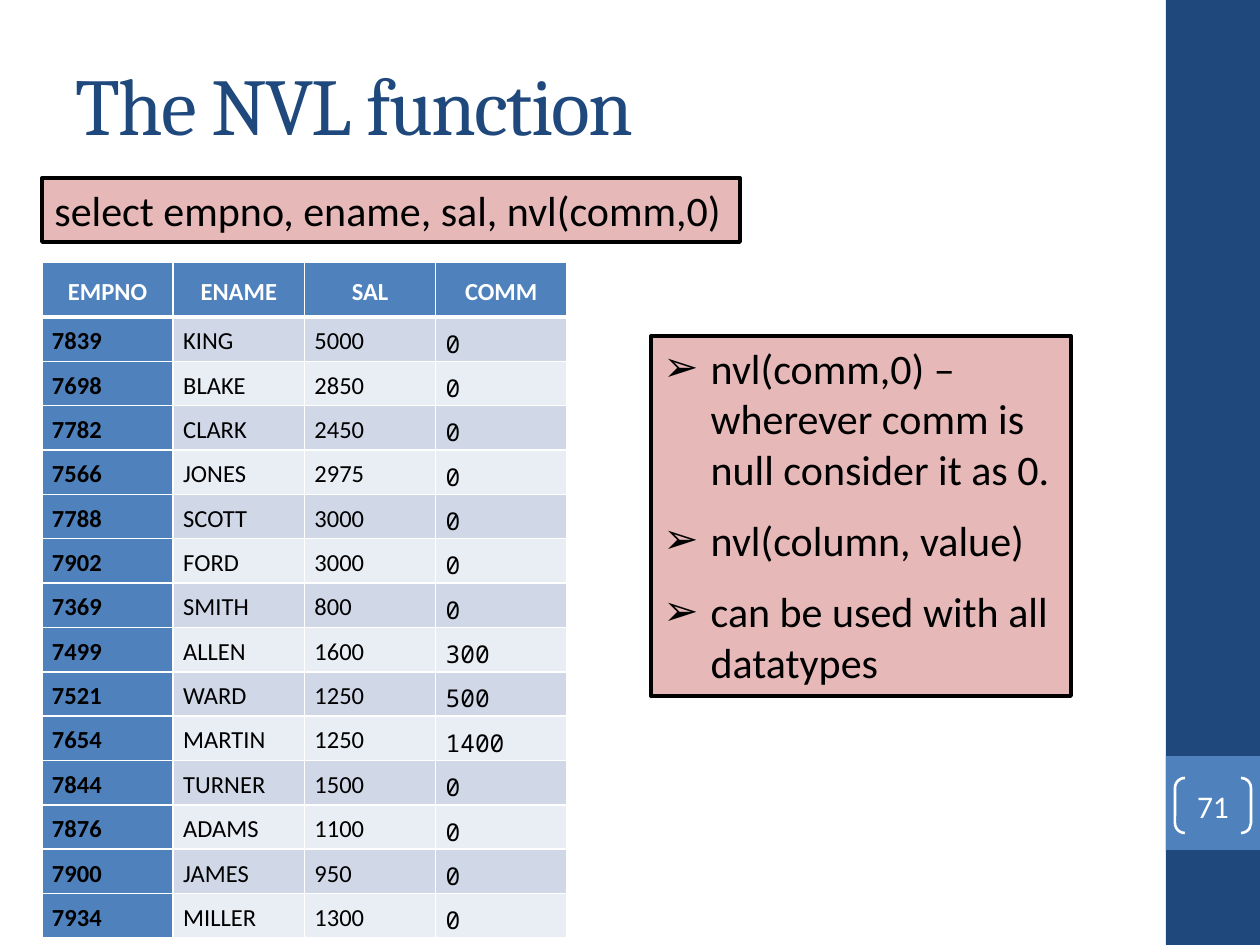
"""Build the NVL function slide: query, result table and usage notes."""
from lxml import etree
from pptx import Presentation
from pptx import util as u
from pptx.dml.color import RGBColor
from pptx.enum import shapes, text
from pptx.oxml.ns import qn

PX = 914400 / 126
NAVY, BLUE, PINK, WHITE, BLACK = "1F497D", "4F81BD", "E6B9B8", "FFFFFF", "000000"
BANDS = ["D0D8E8", "E9EDF4"]
HEADERS = ["EMPNO", "ENAME", "SAL", "COMM"]
EMPLOYEES = [
    ("7839", "KING", "5000", "0"),
    ("7698", "BLAKE", "2850", "0"),
    ("7782", "CLARK", "2450", "0"),
    ("7566", "JONES", "2975", "0"),
    ("7788", "SCOTT", "3000", "0"),
    ("7902", "FORD", "3000", "0"),
    ("7369", "SMITH", "800", "0"),
    ("7499", "ALLEN", "1600", "300"),
    ("7521", "WARD", "1250", "500"),
    ("7654", "MARTIN", "1250", "1400"),
    ("7844", "TURNER", "1500", "0"),
    ("7876", "ADAMS", "1100", "0"),
    ("7900", "JAMES", "950", "0"),
    ("7934", "MILLER", "1300", "0"),
]
NOTES = [
    "nvl(comm,0) – wherever comm is null consider it as 0.",
    "nvl(column, value)",
    "can be used with all datatypes",
]


def color(value):
    return RGBColor.from_string(value)


def style(p, size, ink, font="Calibri", bold=False):
    for r in p.runs:
        r.font.name, r.font.size, r.font.bold = font, u.Pt(size), bold
        r.font.color.rgb = color(ink)


prs = Presentation()
prs.slide_width, prs.slide_height = u.Inches(10), u.Inches(7.5)
s = prs.slides.add_slide(prs.slide_layouts[5])

title = s.shapes.title
title.left, title.top, title.width, title.height = [int(v * PX) for v in (63, 38, 1050, 130)]
tf = title.text_frame
tf.text = "The NVL function"
tf.vertical_anchor = text.MSO_ANCHOR.MIDDLE
p = tf.paragraphs[0]
p.alignment = text.PP_ALIGN.LEFT
style(p, 46, NAVY, "Cambria")
p.runs[0].font._element.set("spc", "-100")

RECT, BRACKETS = shapes.MSO_SHAPE.RECTANGLE, shapes.MSO_SHAPE.DOUBLE_BRACKET
boxes = []
for kind, box, fill, line, weight in [
    (RECT, (1166, 0, 94, 945), NAVY, None, 0),
    (RECT, (1166, 756, 94, 94), BLUE, None, 0),
    (BRACKETS, (1175, 778, 76, 55), None, WHITE, 1.5),
    (RECT, (42, 178, 698, 64), PINK, BLACK, 2.25),
    (RECT, (651, 336, 420, 360), PINK, BLACK, 2.25),
]:
    sp = s.shapes.add_shape(kind, *[int(v * PX) for v in box])
    sp.shadow.inherit = False
    if fill:
        sp.fill.solid()
        sp.fill.fore_color.rgb = color(fill)
    else:
        sp.fill.background()
    if line:
        sp.line.color.rgb = color(line)
        sp.line.width = u.Pt(weight)
    else:
        sp.line.fill.background()
    boxes.append(sp)
number, query, notes = boxes[2:]

number.adjustments[0] = 0.18
tf = number.text_frame
tf.margin_left = tf.margin_top = tf.margin_right = tf.margin_bottom = 0
tf.text = "71"
tf.paragraphs[0].alignment = text.PP_ALIGN.CENTER
style(tf.paragraphs[0], 18, WHITE)

tf = query.text_frame
tf.word_wrap = False
tf.vertical_anchor = text.MSO_ANCHOR.TOP
tf.text = "select empno, ename, sal, nvl(comm,0)"
tf.paragraphs[0].alignment = text.PP_ALIGN.LEFT
style(tf.paragraphs[0], 24, BLACK)

tf = notes.text_frame
tf.word_wrap = True
tf.vertical_anchor = text.MSO_ANCHOR.TOP
tf.text = "\n".join(NOTES)
for p in tf.paragraphs:
    p.alignment = text.PP_ALIGN.LEFT
    p.space_before = p.space_after = u.Pt(6)
    style(p, 24, BLACK)
    pPr = p._p.get_or_add_pPr()
    pPr.set("marL", "342900")
    pPr.set("indent", "-342900")
    etree.SubElement(pPr, qn("a:buFont"), typeface="Calibri")
    etree.SubElement(pPr, qn("a:buChar"), char="➢")

rows = [HEADERS, *EMPLOYEES]
frame = s.shapes.add_table(len(rows), 4, *[int(v * PX) for v in (42, 262, 525, 671)])
table = frame.table
for column in table.columns:
    column.width = int(525 / 4 * PX)
for i, row in enumerate(rows):
    table.rows[i].height = int((44 if i else 55) * PX)
    for j, value in enumerate(row):
        mono = i > 0 and j == 3
        accent = i == 0 or j == 0
        cell = table.cell(i, j)
        cell.text = value
        cell.margin_left = cell.margin_right = int(10 * PX)
        cell.margin_top = int((5 if i else 10) * PX)
        cell.margin_bottom = int(1 * PX) if mono else cell.margin_top
        cell.vertical_anchor = text.MSO_ANCHOR.MIDDLE if i else text.MSO_ANCHOR.BOTTOM
        p = cell.text_frame.paragraphs[0]
        p.alignment = text.PP_ALIGN.LEFT if i else text.PP_ALIGN.CENTER
        p.line_spacing = 1.15
        style(p, 14, BLACK if i else WHITE, "Noto Sans Mono" if mono else "Calibri", accent)
        tcPr = cell._tc.get_or_add_tcPr()
        for side in "LRTB":
            thick = (side, i) in [("B", 0), ("T", 1)]
            ln = etree.SubElement(tcPr, qn(f"a:ln{side}"), w=str(u.Pt(3 if thick else 1)))
            solid = etree.SubElement(ln, qn("a:solidFill"))
            etree.SubElement(solid, qn("a:srgbClr"), val=WHITE)
        cell.fill.solid()
        cell.fill.fore_color.rgb = color(BLUE if accent else BANDS[(i - 1) % 2])

prs.save("out.pptx")
